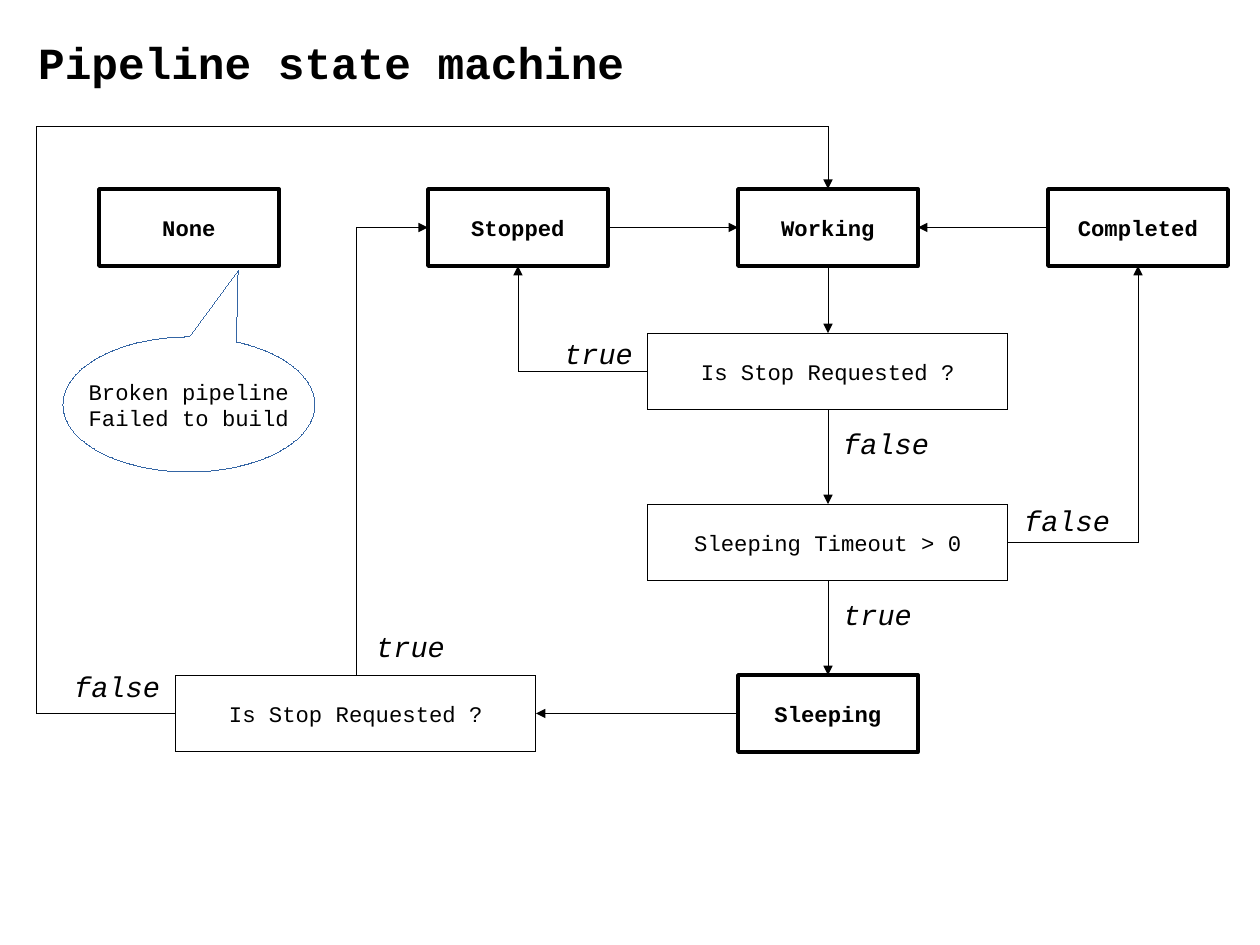
from lxml.etree import SubElement
from pptx import Presentation
from pptx.dml.color import RGBColor
from pptx.enum.shapes import MSO_CONNECTOR as Connector, MSO_SHAPE as Shape
from pptx.enum.text import MSO_ANCHOR as Anchor, PP_ALIGN as Align
from pptx.oxml.ns import qn
from pptx.util import Pt

PX = 8000  # EMU in one px
FONT, BLACK, BLUE = "Courier New", "000000", "3465A4"
HAIRLINE, THICK = 0, 2.3
STATE_WIDTH, CHECK_WIDTH, BOX_HEIGHT = 180, 360, 77
TOP, LEFT, BOTTOM, RIGHT = range(4)  # connection sites of a rectangle

# Content: title and labels are (text, left, top, width, height)
TITLE = ("Pipeline state machine", 27, 29, 609, 62)
LABELS = [
    ("true", 553, 330, 93, 43),
    ("false", 832, 420, 110, 43),
    ("false", 1013, 497, 110, 43),
    ("true", 832, 591, 93, 43),
    ("true", 365, 623, 93, 43),
    ("false", 63, 663, 110, 43),
]

# Boxes: key -> (text, centre x, top)
STATES = {
    "none": ("None", 189, 189),
    "stopped": ("Stopped", 518, 189),
    "working": ("Working", 828, 189),
    "completed": ("Completed", 1138, 189),
    "sleeping": ("Sleeping", 828, 675),
}
CHECKS = {
    "stop": ("Is Stop Requested ?", 828, 333),
    "timeout": ("Sleeping Timeout > 0", 828, 504),
    "wake": ("Is Stop Requested ?", 356, 675),
}
CALLOUT = (["Broken pipeline", "Failed to build"], 63, 337, 252, 135)
CALLOUT_TIP = (0.195, -0.992)

# Arrows: (from box, site, to box, site)
STRAIGHT_ARROWS = [
    ("stopped", RIGHT, "working", LEFT),
    ("completed", LEFT, "working", RIGHT),
    ("working", BOTTOM, "stop", TOP),
    ("stop", BOTTOM, "timeout", TOP),
    ("timeout", BOTTOM, "sleeping", TOP),
    ("sleeping", LEFT, "wake", RIGHT),
]
CORNER_ARROWS = [
    ("stop", LEFT, "stopped", BOTTOM),
    ("timeout", RIGHT, "completed", BOTTOM),
]
UPWARD_ARROW = ("wake", TOP, "stopped", LEFT)
LOOP_ARROW = ("wake", LEFT, "working", TOP)
LOOP_LEFT, LOOP_TOP = 36, 126

presentation = Presentation()
presentation.slide_width, presentation.slide_height = 1260 * PX, 945 * PX
slide = presentation.slides.add_slide(presentation.slide_layouts[6])


def color(value):
    return RGBColor.from_string(value)


def set_line(shape, weight, line_color=BLACK):
    shape.line.color.rgb = color(line_color)
    outline = shape.line._get_or_add_ln()
    outline.set("w", str(int(Pt(weight))))  # a zero must be written out to give a hairline
    return outline


def write(shape, lines, size, bold=False, italic=False, align=Align.LEFT, wrap=False):
    frame = shape.text_frame
    frame.word_wrap = wrap
    for index, line in enumerate(lines):
        paragraph = frame.paragraphs[0] if index == 0 else frame.add_paragraph()
        paragraph.alignment = align
        run = paragraph.add_run()
        run.text = line
        font = run.font
        font.name, font.size, font.bold, font.italic = FONT, Pt(size), bold, italic
        font.color.rgb = color(BLACK)


def add_text(text, *place, **style):
    box = slide.shapes.add_textbox(*(value * PX for value in place))
    write(box, [text], **style)


def add_outline(kind, lines, place, weight, line_color=BLACK, bold=False):
    shape = slide.shapes.add_shape(kind, *(value * PX for value in place))
    shape.shadow.inherit = False
    shape.fill.background()
    set_line(shape, weight, line_color)
    shape.text_frame.vertical_anchor = Anchor.MIDDLE
    write(shape, lines, 14, bold=bold, align=Align.CENTER)
    return shape


def add_arrow(start, start_site, end, end_site, kind=Connector.STRAIGHT):
    connector = slide.shapes.add_connector(kind, 0, 0, 0, 0)
    connector.begin_connect(boxes[start], start_site)
    connector.end_connect(boxes[end], end_site)
    outline = set_line(connector, HAIRLINE)
    SubElement(outline, qn("a:tailEnd"), type="triangle")
    SubElement(connector._element.spPr, qn("a:effectLst"))
    return connector


def add_elbow(arrow, preset, adjustments=()):
    connector = add_arrow(*arrow, kind=Connector.ELBOW)
    geometry = connector._element.spPr.find(qn("a:prstGeom"))
    geometry.set("prst", preset)
    guides = geometry.find(qn("a:avLst"))
    for number, share in enumerate(adjustments, 1):
        SubElement(guides, qn("a:gd"), name=f"adj{number}", fmla=f"val {round(share * 100000)}")
    return connector


# Boxes
boxes = {}
for group, width, weight, bold in (
    (STATES, STATE_WIDTH, THICK, True),
    (CHECKS, CHECK_WIDTH, HAIRLINE, False),
):
    for key, (text, center, top) in group.items():
        place = (center - width // 2, top, width, BOX_HEIGHT)
        boxes[key] = add_outline(Shape.RECTANGLE, [text], place, weight, bold=bold)

# Straight arrows and single-corner arrows
for arrow in STRAIGHT_ARROWS:
    add_arrow(*arrow)
for arrow in CORNER_ARROWS:
    add_elbow(arrow, "bentConnector2")

# Arrow that rises first: a quarter turn about the same centre
rising = add_elbow(UPWARD_ARROW, "bentConnector2")
width, height = rising.width, rising.height
rising.left += (width - height) // 2
rising.top += (height - width) // 2
rising.width, rising.height = height, width
transform = rising._element.spPr.find(qn("a:xfrm"))
transform.attrib.pop("flipV", None)
transform.set("rot", str(270 * 60000))

# Loop around the left side back to Working
wake, working = boxes["wake"], boxes["working"]
start_x, start_y = wake.left, wake.top + wake.height // 2
end_x, end_y = working.left + working.width // 2, working.top
add_elbow(LOOP_ARROW, "bentConnector4", (
    (LOOP_LEFT * PX - start_x) / (end_x - start_x),
    (LOOP_TOP * PX - start_y) / (end_y - start_y),
))

# Callout, labels and title
lines, *place = CALLOUT
callout = add_outline(Shape.OVAL_CALLOUT, lines, place, HAIRLINE, BLUE)
for index, value in enumerate(CALLOUT_TIP):
    callout.adjustments[index] = value
for label in LABELS:
    add_text(*label, size=18, italic=True, wrap=True)
add_text(*TITLE, size=28, bold=True)

presentation.save("out.pptx")
